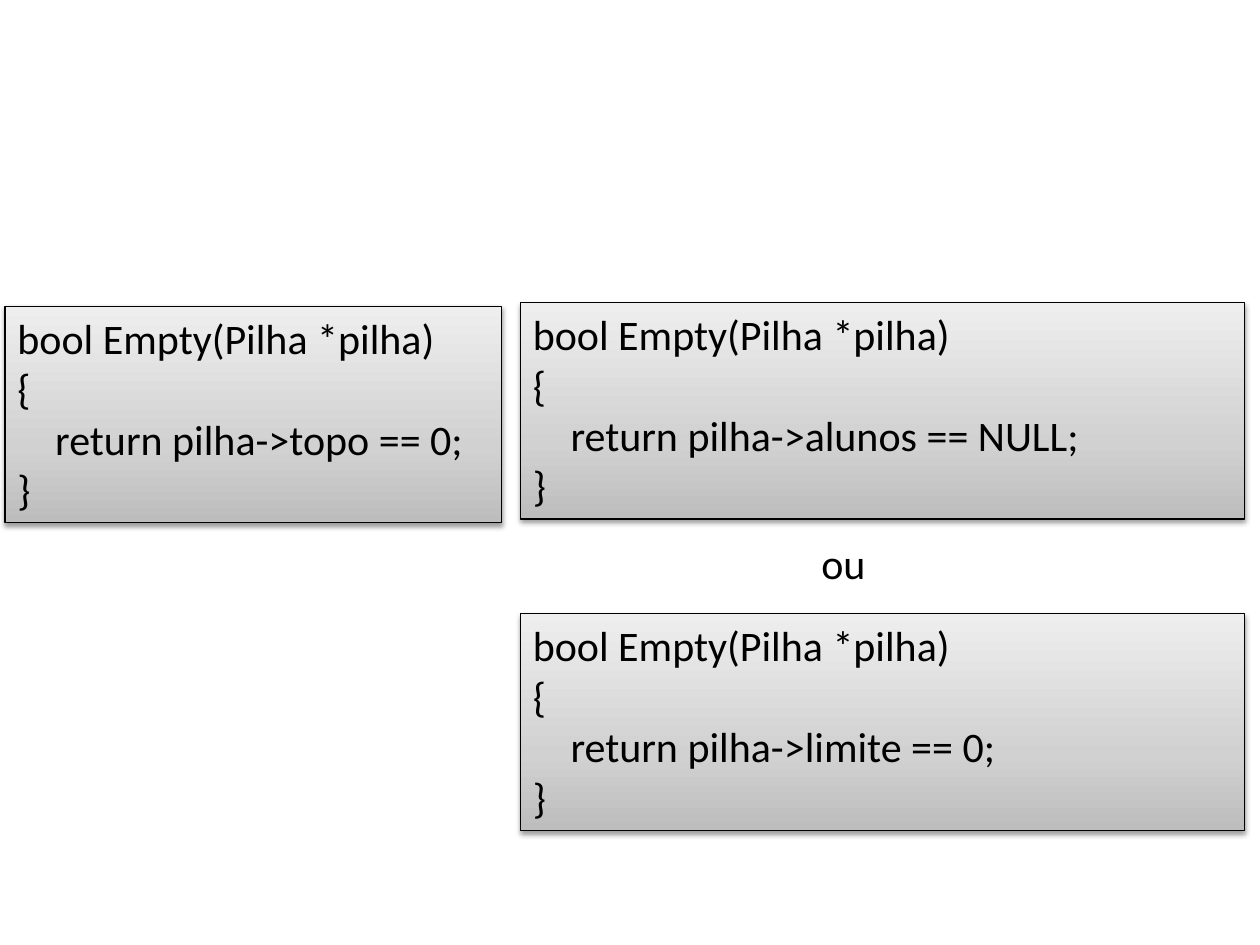
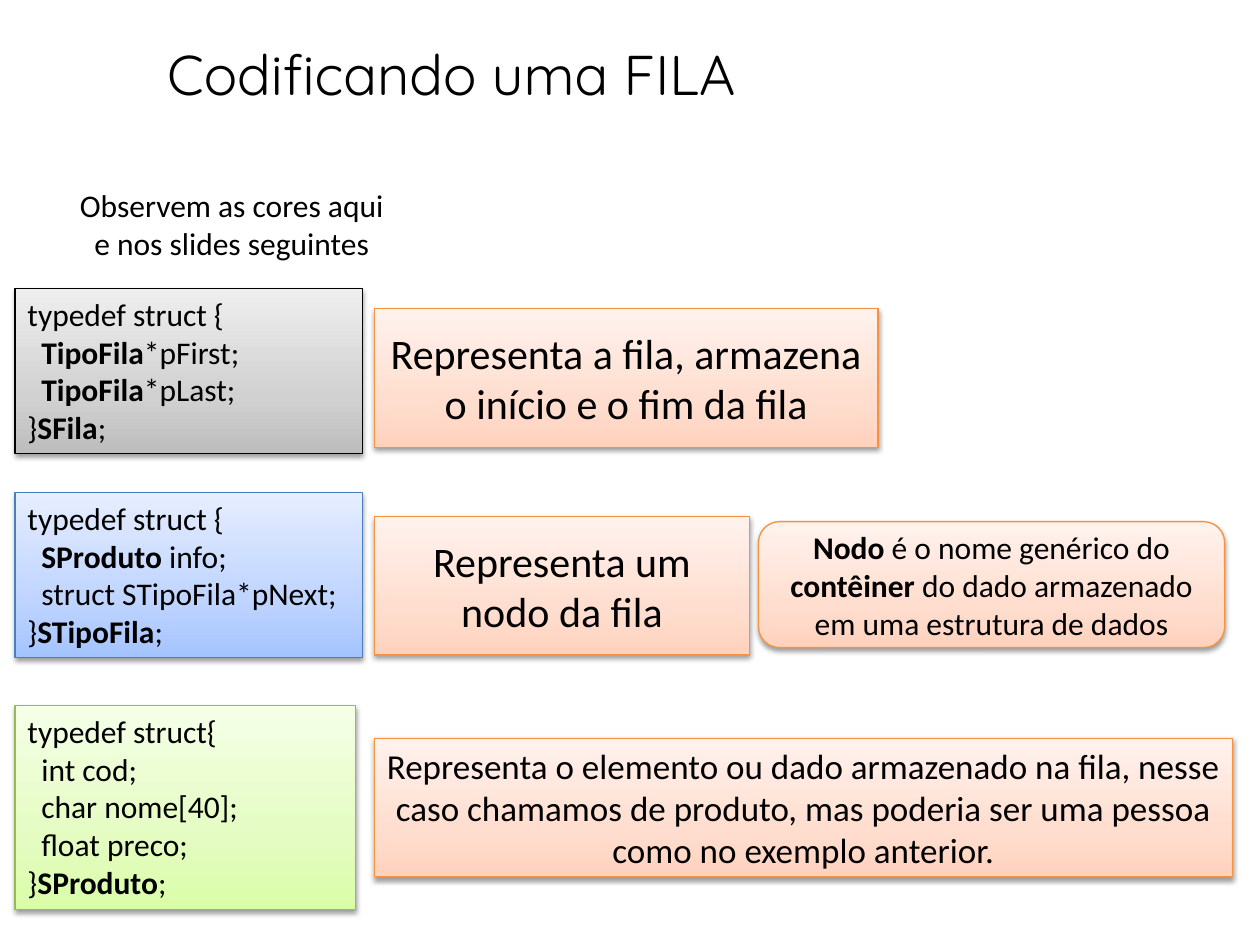
from dataclasses import dataclass

from lxml import etree
from pptx import Presentation
from pptx.dml.color import RGBColor
from pptx.enum.shapes import MSO_SHAPE
from pptx.enum.text import MSO_ANCHOR, MSO_AUTO_SIZE, PP_ALIGN
from pptx.oxml.ns import qn
from pptx.util import Inches, Pt

RECT, ROUND = MSO_SHAPE.RECTANGLE, MSO_SHAPE.ROUNDED_RECTANGLE
TOP, MIDDLE = MSO_ANCHOR.TOP, MSO_ANCHOR.MIDDLE
LEFT, CENTER = PP_ALIGN.LEFT, PP_ALIGN.CENTER
GROW, FIXED = MSO_AUTO_SIZE.SHAPE_TO_FIT_TEXT, MSO_AUTO_SIZE.NONE

BLACK = RGBColor(0x00, 0x00, 0x00)
BODY, HEAD = "Calibri", "Quicksand"
STOPS = (0, 35, 100)
BOLD, TAB = "|", "\t"  # marks: toggle bold, indent the line


@dataclass(frozen=True)
class Theme:
    line: RGBColor
    shades: tuple[RGBColor, RGBColor, RGBColor]


GRAY = Theme(BLACK, (RGBColor(0xBD, 0xBD, 0xBD), RGBColor(0xD1, 0xD1, 0xD1),
                     RGBColor(0xEE, 0xEE, 0xEE)))
BLUE = Theme(RGBColor(0x4B, 0x7E, 0xBC),
             (RGBColor(0xA4, 0xC4, 0xFF), RGBColor(0xBF, 0xD4, 0xFF),
              RGBColor(0xE6, 0xEE, 0xFF)))
GREEN = Theme(RGBColor(0x98, 0xB9, 0x55),
              (RGBColor(0xDA, 0xFD, 0xA7), RGBColor(0xE4, 0xFC, 0xC2),
               RGBColor(0xF5, 0xFF, 0xE7)))
ORANGE = Theme(RGBColor(0xF6, 0x92, 0x40),
               (RGBColor(0xFF, 0xD2, 0xBD), RGBColor(0xFF, 0xDE, 0xD0),
                RGBColor(0xFF, 0xF2, 0xED)))


@dataclass(frozen=True)
class Code:
    """Box of source text, one paragraph a line."""
    left: float
    top: float
    width: float
    height: float
    lines: tuple[str, ...]
    theme: Theme = GRAY
    size: int = 18
    indent: float = 0.11


@dataclass(frozen=True)
class Note:
    """Orange box that explains the code beside it."""
    left: float
    top: float
    width: float
    height: float
    text: str
    size: int
    form: int = RECT


def add_shadow(effects, blur: float, dist: float, angle: int, alpha: int) -> None:
    shade = etree.SubElement(
        effects, qn("a:outerShdw"), blurRad=str(Pt(blur)), dist=str(Pt(dist)),
        dir=str(angle * 60000), algn="tl", rotWithShape="0")
    color = etree.SubElement(shade, qn("a:srgbClr"), val=str(BLACK))
    etree.SubElement(color, qn("a:alpha"), val=str(alpha * 1000))


def paint(shape, theme: Theme) -> None:
    """Give the shape its upward gradient, outline and soft shadow."""
    shape.fill.gradient()
    shape.fill.gradient_angle = 90
    stops = shape._element.spPr.find(".//" + qn("a:gsLst"))
    for old in list(stops):
        stops.remove(old)
    for place, color in zip(STOPS, theme.shades):
        stop = etree.SubElement(stops, qn("a:gs"), pos=str(place * 1000))
        etree.SubElement(stop, qn("a:srgbClr"), val=str(color))
    shape.line.color.rgb = theme.line
    shape.line.width = Pt(0.75)
    shape.shadow.inherit = False
    add_shadow(shape._element.spPr.find(qn("a:effectLst")), 3.1, 1.6, 90, 38)


def write(shape, lines: tuple[str, ...], size: int, align=CENTER, anchor=TOP,
          fit=GROW, wrap: bool = True, font: str = BODY, indent: float = 0) -> None:
    frame = shape.text_frame
    frame.word_wrap = wrap
    frame.auto_size = fit
    frame.vertical_anchor = anchor
    for i, line in enumerate(lines):
        para = frame.add_paragraph() if i else frame.paragraphs[0]
        para.alignment = align
        if line.startswith(TAB):
            para._p.get_or_add_pPr().set("marL", str(Inches(indent)))
        for j, part in enumerate(line.lstrip(TAB).split(BOLD)):
            if part:
                run = para.add_run()
                run.text = part
                run.font.name = font
                run.font.size = Pt(size)
                run.font.bold = j % 2 == 1
                run.font.color.rgb = BLACK


def add_box(slide, item: Code | Note, form: int, theme: Theme):
    shape = slide.shapes.add_shape(
        form, Inches(item.left), Inches(item.top),
        Inches(item.width), Inches(item.height))
    paint(shape, theme)
    return shape


def add_code(slide, code: Code) -> None:
    box = add_box(slide, code, RECT, code.theme)
    write(box, code.lines, code.size, LEFT, indent=code.indent)


def add_note(slide, note: Note) -> None:
    box = add_box(slide, note, note.form, ORANGE)
    write(box, (note.text,), note.size, anchor=MIDDLE, fit=FIXED)


def add_label(slide, left: float, top: float, width: float, height: float):
    return slide.shapes.add_textbox(
        Inches(left), Inches(top), Inches(width), Inches(height))


def add_title(slide, text: str) -> None:
    box = add_label(slide, 0, 0.16, 7.17, 0.84)
    write(box, (text,), 32, anchor=MIDDLE, fit=FIXED, font=HEAD)
    props = box.text_frame.paragraphs[0].runs[0].font._element
    effects = etree.Element(qn("a:effectLst"))
    props.find(qn("a:solidFill")).addnext(effects)
    add_shadow(effects, 3, 3, 45, 43)


def empty_code(left: float, top: float, width: float, test: str) -> Code:
    lines = ("bool Empty(Pilha *pilha)", "{", f"{TAB}return pilha->{test};", "}")
    return Code(left, top, width, 1.72, lines, size=24, indent=0.3)


# Slide 1: ways to test for an empty stack
TESTS = (
    empty_code(0.04, 2.43, 3.94, "topo == 0"),
    empty_code(4.13, 2.4, 5.75, "alunos == NULL"),
    empty_code(4.13, 4.87, 5.75, "limite == 0"),
)

# Slide 2: the structs of a queue and what they stand for
STRUCTS = (
    Code(0.12, 2.29, 2.76, 1.31,
         ("typedef struct {", "\t|TipoFila|*pFirst;", "\t|TipoFila|*pLast;",
          "}|SFila|;")),
    Code(0.12, 3.91, 2.76, 1.31,
         ("typedef struct {", "\t|SProduto| info;", "\tstruct STipoFila*pNext;",
          "}|STipoFila|;"), BLUE),
    Code(0.12, 5.6, 2.7, 1.62,
         ("typedef struct{", "\tint cod;", "\tchar nome[40];", "\tfloat preco;",
          "}|SProduto|;"), GREEN),
)
NOTES = (
    Note(2.97, 2.45, 4, 1.1,
         "Representa a fila, armazena o início e o fim da fila", 24),
    Note(2.97, 4.1, 2.98, 1.1, "Representa um nodo da fila", 24),
    Note(2.97, 5.86, 6.81, 1.1,
         "Representa o elemento ou dado armazenado na fila, nesse caso chamamos "
         "de produto, mas poderia ser uma pessoa como no exemplo anterior.", 20),
    Note(6.02, 4.14, 3.7, 1,
         "|Nodo| é o nome genérico do |contêiner| do dado armazenado "
         "em uma estrutura de dados", 18, ROUND),
)


def draw_tests(slide) -> None:
    for code in TESTS:
        add_code(slide, code)
    write(add_label(slide, 6.42, 4.22, 0.56, 0.5), ("ou",), 24, LEFT, wrap=False)


def draw_queue(slide) -> None:
    add_title(slide, "Codificando uma FILA")
    for code in STRUCTS:
        add_code(slide, code)
    hint = add_label(slide, 0.46, 1.43, 2.76, 0.71)
    write(hint, ("Observem as cores aqui e nos slides seguintes",), 18)
    for note in NOTES:
        add_note(slide, note)


def main() -> None:
    deck = Presentation()
    deck.slide_width, deck.slide_height = Inches(10), Inches(7.5)
    for draw in (draw_tests, draw_queue):
        draw(deck.slides.add_slide(deck.slide_layouts[6]))
    deck.save("out.pptx")


if __name__ == "__main__":
    main()
